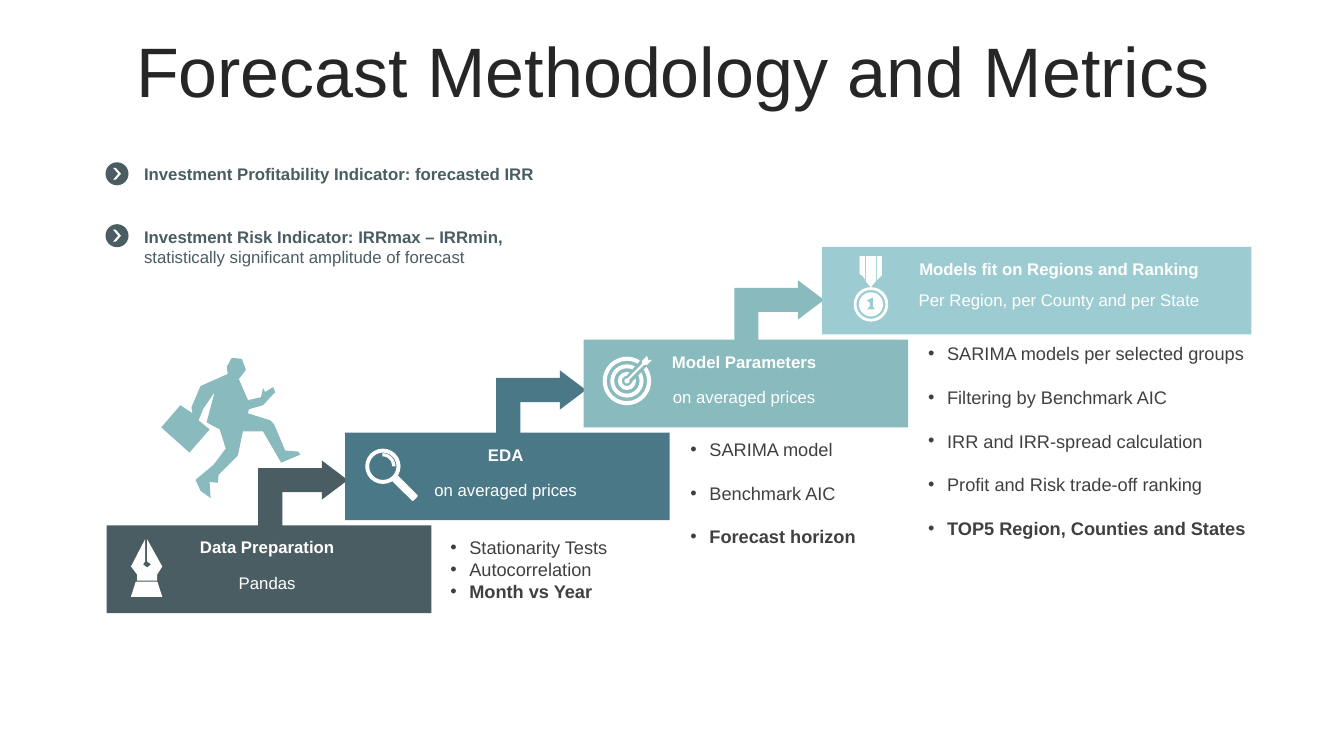
from lxml import etree
from pptx import Presentation
from pptx import util as u
from pptx.dml.color import RGBColor
from pptx.enum import shapes, text
from pptx.oxml.ns import qn

COLORS = {"ink": "262626", "body": "404040", "white": "FFFFFF", "slate": "4A5D62",
          "blue": "4A7886", "teal": "88BABE", "aqua": "9CCCD2"}
MSO = shapes.MSO_SHAPE
UNIT = 0.0254  # cm per outline unit

# Outlines, in outline units
RUNNER = [(160, 424), (188, 449), (208, 426), (197, 417), (202, 405), (213, 389),
          (205, 419), (218, 426), (224, 445), (212, 461), (194, 476), (199, 487),
          (209, 494), (208, 478), (216, 479), (217, 471), (236, 452), (241, 428),
          (261, 428), (279, 459), (298, 451), (296, 448), (283, 447), (272, 421),
          (268, 417), (246, 410), (247, 406), (261, 402), (273, 389), (271, 384),
          (263, 389), (261, 385), (259, 394), (246, 397), (237, 376), (244, 367),
          (240, 356), (230, 355), (225, 364), (226, 371), (199, 383), (190, 404),
          (191, 410), (179, 402)]
HALF_NIB = [(1, 535), (1, 557), (4, 560), (0, 563)]
HALF_NIB_EDGE = [(10, 576), (10, 570), (15.5, 562)]
DART_GAP = [(619, 376), (636, 357), (642, 363), (625, 381)]
DART = [(642, 353), (643, 357), (647, 357), (642, 362), (639, 362), (624, 377),
        (622, 376), (637, 361), (637, 358)]
DIGIT = [(866, 295), (860, 298), (863, 300), (863, 304), (860, 307), (868, 307),
         (866, 304)]


def write(p, content, size=12, color="white", bold=False, align=None):
    p.alignment = align
    r = p.add_run()
    r.text = content
    r.font.name, r.font.size, r.font.bold = "Arial", u.Pt(size), bold
    r.font.color.rgb = RGBColor.from_string(COLORS[color])


class Deck:
    def __init__(self, width, height):
        self.prs = Presentation()
        self.prs.slide_width, self.prs.slide_height = u.Cm(width), u.Cm(height)
        self.s = self.prs.slides.add_slide(self.prs.slide_layouts[6])

    def paint(self, sp, color):
        sp.shadow.inherit = False
        sp.fill.solid()
        sp.fill.fore_color.rgb = RGBColor.from_string(COLORS[color])
        sp.line.fill.background()
        return sp

    def shape(self, kind, x, y, w, h, color="white", adj=()):
        sp = self.s.shapes.add_shape(kind, u.Cm(x), u.Cm(y), u.Cm(w), u.Cm(h))
        for i, value in enumerate(adj):
            sp.adjustments[i] = value
        return self.paint(sp, color)

    def arrow(self, x, y, color):
        sp = self.shape(MSO.BENT_UP_ARROW, x, y, 1.65, 2.26, color, (0.368, 0.299, 0.397))
        sp.rotation = 270
        sp._element.spPr.xfrm.set("flipV", "1")

    def disc(self, cx, cy, d, ring=None):
        """Circle around a point in cm; ring is the band's thickness."""
        kind, adj = (MSO.DONUT, (ring / d,)) if ring else (MSO.OVAL, ())
        self.shape(kind, cx - d / 2, cy - d / 2, d, d, adj=adj)

    def outline(self, points, color="white"):
        fb = self.s.shapes.build_freeform(*points[0], scale=u.Cm(UNIT))
        fb.add_line_segments(points[1:], close=True)
        self.paint(fb.convert_to_shape(), color)

    def text(self, x, y, w, h, lines, anchor=text.MSO_ANCHOR.MIDDLE, **fmt):
        """Each line is a (text, bold) pair."""
        tf = self.s.shapes.add_textbox(u.Cm(x), u.Cm(y), u.Cm(w), u.Cm(h)).text_frame
        tf.word_wrap, tf.vertical_anchor = True, anchor
        for i, (content, bold) in enumerate(lines):
            p = tf.add_paragraph() if i else tf.paragraphs[0]
            write(p, content, bold=bold, **fmt)
        return tf

    def bullets(self, x, y, w, h, items, gap=15.5):
        lines = [(item, item == items[-1]) for item in items]
        tf = self.text(x, y, w, h, lines, text.MSO_ANCHOR.TOP, size=13, color="body")
        for i, p in enumerate(tf.paragraphs):
            pPr = p._p.get_or_add_pPr()
            pPr.set("marL", str(u.Cm(0.48)))
            pPr.set("indent", str(-u.Cm(0.48)))
            etree.SubElement(pPr, qn("a:buFont")).set("typeface", "Arial")
            etree.SubElement(pPr, qn("a:buChar")).set("char", "•")
            p.space_before = u.Pt(gap if i else 0)


def main():
    deck = Deck(33.87, 19.05)
    center = text.PP_ALIGN.CENTER

    # Title
    tf = deck.text(0.89, 0.94, 32.16, 2.01, [("Forecast Methodology and Metrics", False)],
                   size=50, color="ink", align=center)
    tf.paragraphs[0].line_spacing = 0.8

    # Staircase
    steps = [("Data Preparation", "Pandas", "slate"),
             ("EDA", "on averaged prices", "blue"),
             ("Model Parameters", "on averaged prices", "teal"),
             ("Models fit on Regions and Ranking", "Per Region, per County and per State",
              "aqua")]
    for i, (heading, caption, color) in enumerate(steps):
        x, y = 2.69 + 6.01 * i, 13.24 - 2.34 * i
        last = i == len(steps) - 1
        deck.shape(MSO.RECTANGLE, x, y, 10.82 if last else 8.18, 2.21, color)
        if not last:
            deck.arrow(6.81 + 6 * i, 11.3 - 2.27 * i, color)
        inset, label_w, drop = (2.15, 7.65, 0.78) if last else (1.85, 4.39, 0.89)
        deck.text(x + inset, y + 0.17, label_w, 0.76, [(heading, True)], align=center)
        deck.text(x + inset, y + 0.17 + drop, label_w, 0.76, [(caption, False)],
                  align=center)

    # Details beside the steps
    deck.bullets(11.1, 13.39, 5.77, 1.93,
                 ["Stationarity Tests", "Autocorrelation", "Month vs Year"], gap=0)
    deck.bullets(17.15, 10.92, 5.77, 3.02,
                 ["SARIMA model", "Benchmark AIC", "Forecast horizon"])
    deck.bullets(23.14, 8.51, 8.74, 5.26,
                 ["SARIMA models per selected groups", "Filtering by Benchmark AIC",
                  "IRR and IRR-spread calculation", "Profit and Risk trade-off ranking",
                  "TOP5 Region, Counties and States"])

    # Indicators
    indicators = [
        (4.09, 3.99, 0.76, [("Investment Profitability Indicator: forecasted IRR", True)]),
        (5.65, 5.59, 1.27, [("Investment Risk Indicator: IRRmax – IRRmin,", True),
                            ("statistically significant amplitude of forecast", False)])]
    for icon_y, y, h, lines in indicators:
        deck.shape(MSO.OVAL, 2.66, icon_y, 0.58, 0.58, "slate")
        deck.shape(MSO.CHEVRON, 2.85, icon_y + 0.14, 0.2, 0.3, adj=(0.652,))
        deck.text(3.38, y, 10.8, h, lines, color="slate")

    # Runner
    deck.outline(RUNNER, "teal")

    # Pen: each half of the nib mirrors the other
    for side in (-1, 1):
        half = HALF_NIB + [(0, 576)] + HALF_NIB_EDGE
        deck.outline([(145.5 + side * dx, y) for dx, y in half])
    deck.shape(MSO.TRAPEZOID, 3.3, 14.66, 0.79, 0.38, adj=(0.32,))

    # Magnifier: lens, shine from 270 to 0 degrees, handle
    deck.disc(9.65, 11.75, 0.89, ring=0.1)
    deck.shape(MSO.BLOCK_ARC, 9.31, 11.42, 0.66, 0.66, adj=(162, 0, 0.12))
    deck.shape(MSO.ROUNDED_RECTANGLE, 9.83, 12.2, 0.75, 0.2).rotation = 45

    # Target with dart
    for d in (1.22, 0.84, 0.46):
        deck.disc(15.8, 9.6, d, ring=0.1)
    deck.outline(DART_GAP, "teal")
    deck.disc(15.8, 9.6, 0.13)
    deck.outline(DART)

    # Medal: three ribbon strips, rim, face and digit
    for left, right, y_left, y_right in ((853, 858, 272, 277), (859, 869, 279, 279),
                                         (870, 875, 278, 273)):
        tip = ((left + right) / 2, 285 if y_left == y_right else (y_left + y_right) / 2)
        deck.outline([(left, 254), (right, 254), (right, y_right), tip, (left, y_left)])
    deck.disc(21.95, 7.67, 0.87, ring=0.07)
    deck.disc(21.95, 7.67, 0.61)
    deck.outline(DIGIT, "aqua")

    deck.prs.save("out.pptx")


if __name__ == "__main__":
    main()
